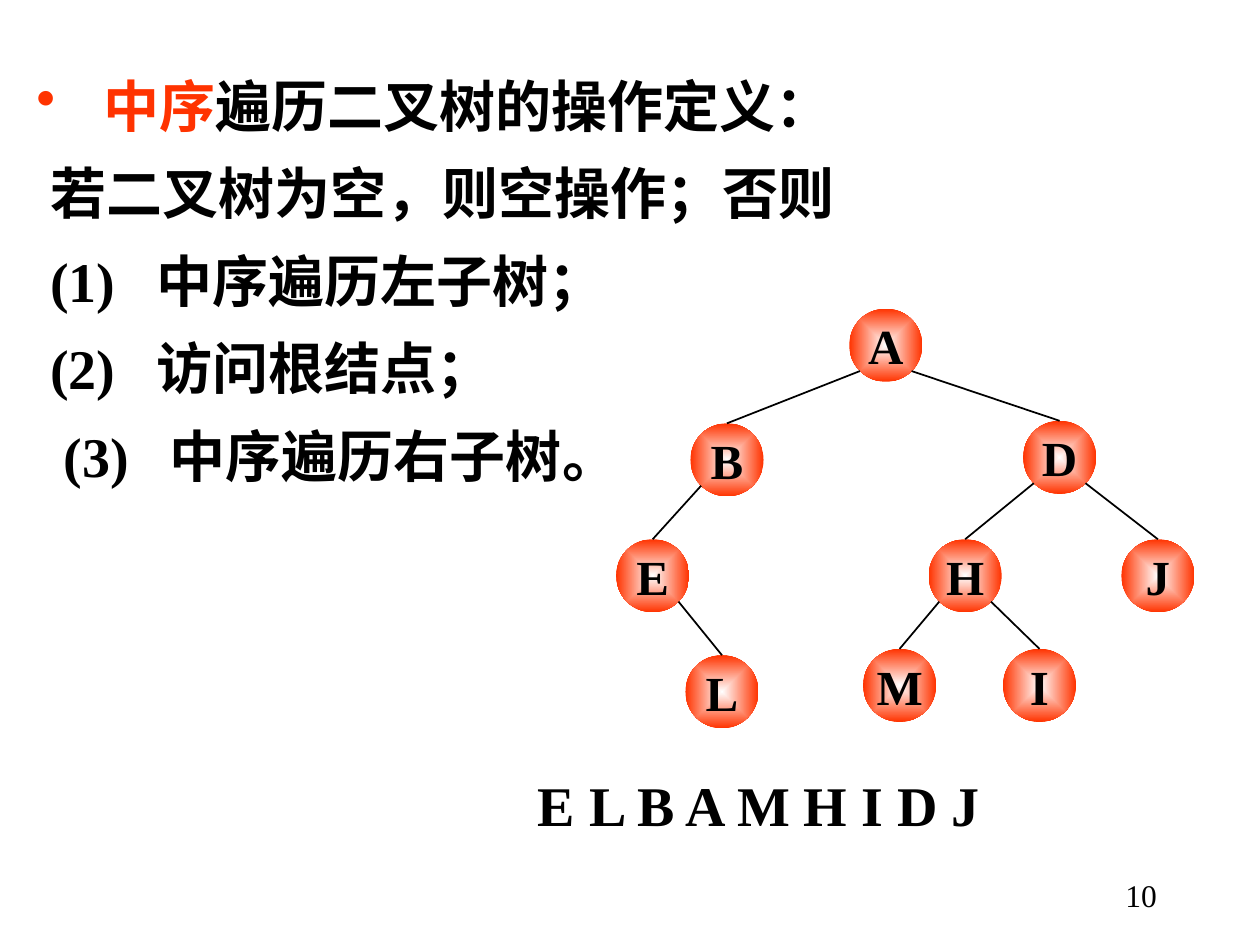
"""Build a slide on in-order traversal of a binary tree."""
from dataclasses import dataclass
from typing import Any

from lxml import etree
from pptx import Presentation
from pptx import util as u
from pptx.dml.color import RGBColor
from pptx.enum import shapes, text
from pptx.oxml import parse_xml
from pptx.oxml.ns import nsdecls, qn

COLORS = {"ink": "000000", "accent": "FF3300", "glow": "FFFFFF"}
FONT = "Times New Roman"
NODE_SIZE = 0.58
CORNER = NODE_SIZE / 2 * 0.5 ** 0.5


@dataclass
class Node:
    label: str
    x: float
    y: float


@dataclass
class Edge:
    parent: str
    child: str
    side: int


@dataclass
class Line:
    spans: list[tuple[str, str]]
    margin: float
    indent: float = 0
    bullet: str = ""


NODES = [
    Node("A", 7.03, 2.74),
    Node("B", 5.77, 3.65), Node("D", 8.41, 3.63),
    Node("E", 5.18, 4.57), Node("H", 7.66, 4.57), Node("J", 9.19, 4.57),
    Node("L", 5.73, 5.49), Node("M", 7.14, 5.44), Node("I", 8.25, 5.44),
]
LEFT, RIGHT = -1, 1
EDGES = [
    Edge("A", "B", LEFT), Edge("A", "D", RIGHT),
    Edge("B", "E", LEFT), Edge("E", "L", RIGHT),
    Edge("D", "H", LEFT), Edge("D", "J", RIGHT),
    Edge("H", "M", LEFT), Edge("H", "I", RIGHT),
]
DEFINITION = [
    Line([("中序", "accent"), ("遍历二叉树的操作定义：", "ink")], 0.53, -0.53, "•"),
    Line([("若二叉树为空，则空操作；否则", "ink")], 0.11),
    Line([("(1)\t中序遍历左子树；", "ink")], 0.95, -0.84),
    Line([("(2)\t访问根结点；", "ink")], 0.95, -0.84),
    Line([("(3)\t中序遍历右子树。", "ink")], 1.06, -0.84),
]


def set_all(target: Any, values: dict[str, Any]) -> None:
    """Set each named attribute on the target."""
    for name, value in values.items():
        setattr(target, name, value)


def add_span(para: Any, words: str, size: int, color: str = "ink", bold: bool = True) -> None:
    """Append formatted words to a paragraph."""
    span = para.add_run()
    span.text = words
    set_all(span.font, {"name": FONT, "size": u.Pt(size), "bold": bold})
    span.font.color.rgb = RGBColor.from_string(COLORS[color])


def add_box(page: Any, left: float, top: float, width: float, height: float, wrap: bool = True) -> Any:
    """Add a text box and return its text frame."""
    box = page.shapes.add_textbox(*map(u.Inches, (left, top, width, height)))
    box.text_frame.word_wrap = wrap
    return box.text_frame


def add_definition(page: Any) -> None:
    """Write the bulleted definition and its numbered steps."""
    frame = add_box(page, 0.19, 0.36, 7.16, 3.57, wrap=False)
    for index, line in enumerate(DEFINITION):
        para = frame.add_paragraph() if index else frame.paragraphs[0]
        para.line_spacing = 1.3
        layout = para._p.get_or_add_pPr()
        layout.set("marL", str(u.Inches(line.margin)))
        layout.set("indent", str(u.Inches(line.indent)))
        if line.bullet:
            tint = etree.SubElement(layout, qn("a:buClr"))
            etree.SubElement(tint, qn("a:srgbClr"), val=COLORS["accent"])
            etree.SubElement(layout, qn("a:buChar"), char=line.bullet)
        else:
            etree.SubElement(layout, qn("a:buNone"))
        for words, color in line.spans:
            add_span(para, words, 32, color)


def add_node(page: Any, node: Node) -> Any:
    """Draw a glowing circle with its label."""
    half = NODE_SIZE / 2
    circle = page.shapes.add_shape(
        shapes.MSO_SHAPE.OVAL, u.Inches(node.x - half), u.Inches(node.y - half),
        u.Inches(NODE_SIZE), u.Inches(NODE_SIZE))
    circle.shadow.inherit = False
    circle.line.fill.background()
    gradient = parse_xml(
        f'<a:gradFill {nsdecls("a")} rotWithShape="1"><a:gsLst>'
        f'<a:gs pos="0"><a:srgbClr val="{COLORS["glow"]}"/></a:gs>'
        f'<a:gs pos="100000"><a:srgbClr val="{COLORS["accent"]}"/></a:gs></a:gsLst>'
        '<a:path path="rect"><a:fillToRect l="50000" t="50000" r="50000" b="50000"/></a:path>'
        '</a:gradFill>')
    circle._element.spPr.find(qn("a:prstGeom")).addnext(gradient)
    frame = circle.text_frame
    set_all(frame, {"word_wrap": False, "vertical_anchor": text.MSO_ANCHOR.MIDDLE,
                    "margin_left": 0, "margin_right": 0, "margin_top": 0, "margin_bottom": 0})
    para = frame.paragraphs[0]
    para.alignment = text.PP_ALIGN.CENTER
    add_span(para, node.label, 28)
    return circle


def add_edge(page: Any, parent: Node, child: Node, side: int, circle: Any) -> None:
    """Join a parent's lower corner to the top of its child."""
    line = page.shapes.add_connector(
        shapes.MSO_CONNECTOR.STRAIGHT,
        u.Inches(parent.x + side * CORNER), u.Inches(parent.y + CORNER),
        u.Inches(child.x), u.Inches(child.y - NODE_SIZE / 2))
    line.end_connect(circle, 0)
    line.line.width = u.Pt(1)
    line.line.color.rgb = RGBColor.from_string(COLORS["ink"])
    etree.SubElement(line._element.spPr, qn("a:effectLst"))


def main() -> None:
    """Assemble and save the deck."""
    deck = Presentation()
    set_all(deck, {"slide_width": u.Inches(10), "slide_height": u.Inches(7.5)})
    page = deck.slides.add_slide(deck.slide_layouts[6])
    add_definition(page)
    add_span(add_box(page, 4.17, 6.07, 5.73, 0.64).paragraphs[0], "E L B A M H I D J", 32)

    nodes = {node.label: node for node in NODES}
    circles = {node.label: add_node(page, node) for node in NODES}
    for edge in EDGES:
        add_edge(page, nodes[edge.parent], nodes[edge.child], edge.side, circles[edge.child])

    number = add_box(page, 7.2, 6.9, 2.08, 0.5).paragraphs[0]
    number.alignment = text.PP_ALIGN.RIGHT
    add_span(number, "10", 18, bold=False)
    deck.save("out.pptx")


if __name__ == "__main__":
    main()
